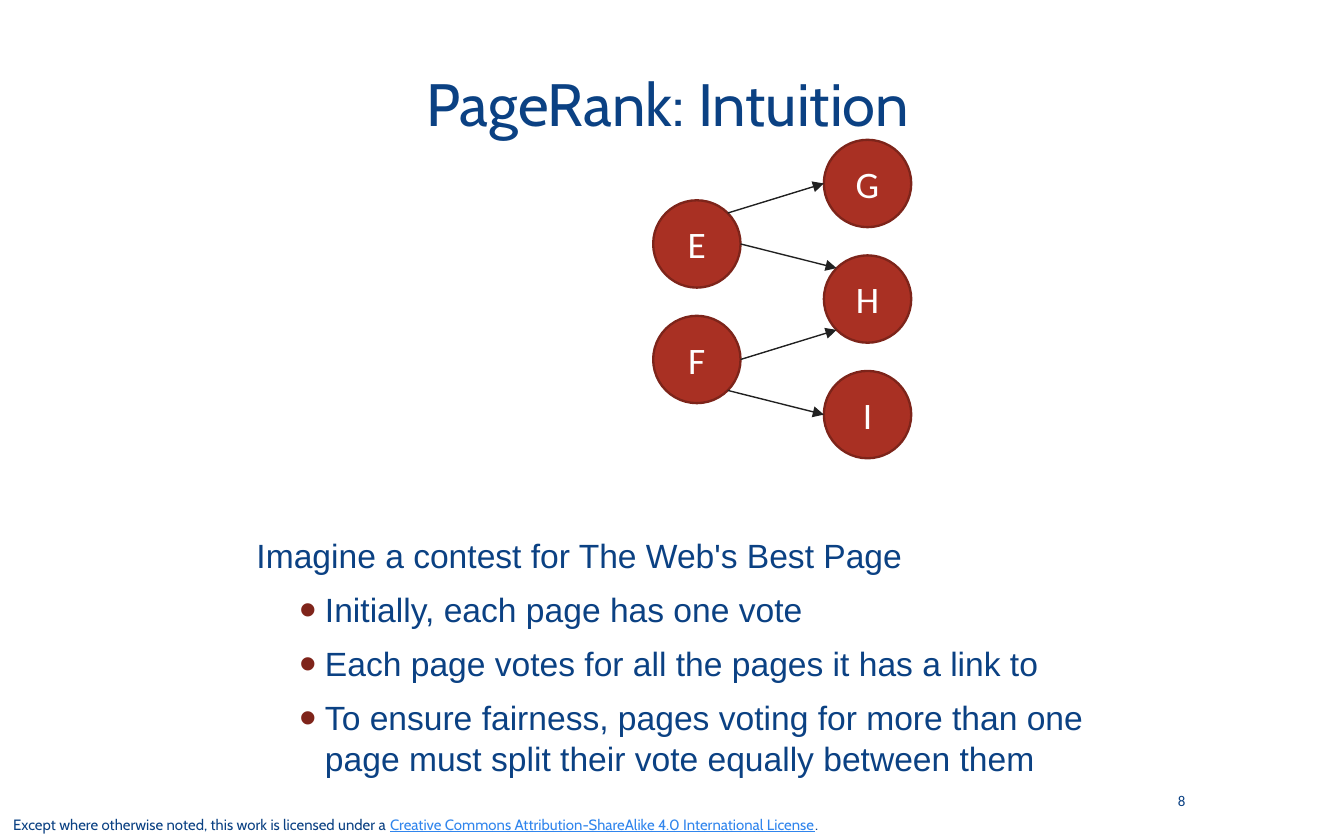
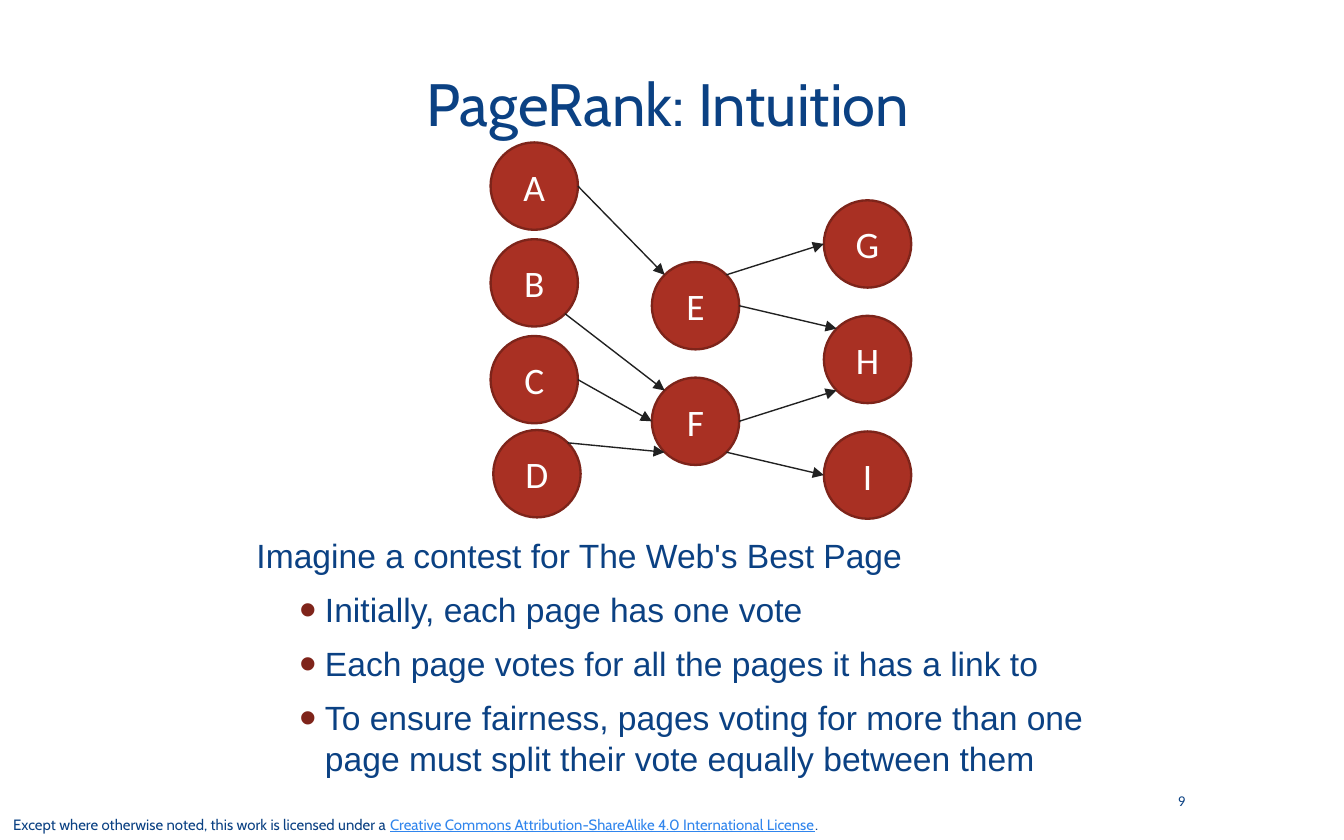
from dataclasses import dataclass
from math import cos, radians, sin

from lxml.etree import SubElement
from pptx import Presentation
from pptx.dml.color import RGBColor
from pptx.enum.shapes import MSO_CONNECTOR, MSO_SHAPE
from pptx.enum.text import MSO_ANCHOR, MSO_AUTO_SIZE, PP_ALIGN
from pptx.oxml.ns import qn
from pptx.util import Inches, Pt

HEX = {
    "navy": "0B4183",
    "link": "3085ED",
    "red": "A93023",
    "rim": "7D241A",
    "dot": "7F241A",
    "ink": "212121",
    "white": "FFFFFF",
}
SIZE = 0.65
TITLE = "PageRank: Intuition"
LEAD = "Imagine a contest for The Web's Best Page"
POINTS = (
    "Initially, each page has one vote",
    "Each page votes for all the pages it has a link to",
    "To ensure fairness, pages voting for more than one page "
    "must split their vote equally between them",
)


@dataclass(frozen=True)
class Style:
    size: float
    font: str
    tint: str = "navy"
    under: bool = False


@dataclass(frozen=True)
class Column:
    names: str
    left: float
    top: float
    step: float = 0.86


@dataclass(frozen=True)
class Vote:
    start: str
    out: int
    end: str
    into: int


@dataclass(frozen=True)
class Page:
    number: int
    columns: tuple[Column, ...]
    votes: tuple[Vote, ...]


HEAD = Style(32, "Cabin")
BODY = Style(18, "Arial")
NODE = Style(20, "Calibri", "white")
COUNT = Style(8, "Calibri")
NOTE = Style(8, "Cabin")
CITE = Style(8, "Cabin", "link", True)

LATE = (
    Vote("E", 45, "G", 180),
    Vote("E", 0, "H", 135),
    Vote("F", -45, "I", 180),
    Vote("F", 0, "H", 225),
)
EARLY = (
    Vote("C", 0, "F", 180),
    Vote("D", 45, "F", 225),
    Vote("A", 0, "E", 135),
    Vote("B", -45, "F", 135),
)
PAGES = (
    Page(8, (Column("GHI", 6.13, 1.04), Column("EF", 4.86, 1.49)), LATE),
    Page(
        9,
        (
            Column("GHI", 6.13, 1.49),
            Column("EF", 4.85, 1.95),
            Column("ABC", 3.65, 1.06, 0.72),
            Column("D", 3.67, 3.2),
        ),
        LATE + EARLY,
    ),
)


def color(name: str) -> RGBColor:
    return RGBColor.from_string(HEX[name])


def add_run(para, text: str, style: Style) -> None:
    run = para.add_run()
    run.text = text
    font = run.font
    font.size = Pt(style.size)
    font.name = style.font
    font.color.rgb = color(style.tint)
    font.underline = style.under


def add_box(slide, left: float, top: float, width: float, height: float, anchor):
    box = slide.shapes.add_textbox(
        Inches(left), Inches(top), Inches(width), Inches(height)
    )
    frame = box.text_frame
    frame.word_wrap = True
    frame.auto_size = MSO_AUTO_SIZE.NONE
    frame.vertical_anchor = anchor
    return frame


def add_title(slide) -> None:
    title = slide.shapes.title
    title.left, title.top = Inches(0.51), Inches(0.17)
    title.width, title.height = Inches(8.92), Inches(1.19)
    frame = title.text_frame
    frame.auto_size = MSO_AUTO_SIZE.NONE
    frame.vertical_anchor = MSO_ANCHOR.MIDDLE
    para = frame.paragraphs[0]
    para.alignment = PP_ALIGN.CENTER
    add_run(para, TITLE, HEAD)


def add_foot(slide, number: int) -> None:
    para = add_box(slide, 0, 6.02, 7.5, 0.23, MSO_ANCHOR.BOTTOM).paragraphs[0]
    add_run(para, "Except where otherwise noted, this work is licensed under a ", NOTE)
    add_run(
        para, "Creative Commons Attribution-ShareAlike 4.0 International License", CITE
    )
    add_run(para, ".", NOTE)
    para = add_box(slide, 7.98, 5.79, 0.94, 0.33, MSO_ANCHOR.MIDDLE).paragraphs[0]
    para.alignment = PP_ALIGN.RIGHT
    add_run(para, str(number), COUNT)


def add_dot(para) -> None:
    para.level = 1
    props = para._p.get_or_add_pPr()
    props.set("marL", str(Inches(0.51)))
    props.set("indent", str(Inches(-0.19)))
    tint = SubElement(props, qn("a:buClr"))
    SubElement(tint, qn("a:srgbClr"), val=HEX["dot"])
    SubElement(props, qn("a:buSzPct"), val="145000")
    SubElement(props, qn("a:buFont"), typeface="Arial")
    SubElement(props, qn("a:buChar"), char="•")


def add_body(slide) -> None:
    frame = add_box(slide, 1.81, 3.76, 6.38, 2.25, MSO_ANCHOR.MIDDLE)
    for rank, text in enumerate((LEAD, *POINTS)):
        para = frame.add_paragraph() if rank else frame.paragraphs[0]
        para.space_before = Pt(3.6)
        para.space_after = Pt(3.8)
        if rank:
            add_dot(para)
        add_run(para, text, BODY)


def add_node(slide, name: str, left: float, top: float) -> None:
    node = slide.shapes.add_shape(
        MSO_SHAPE.OVAL, Inches(left), Inches(top), Inches(SIZE), Inches(SIZE)
    )
    node.shadow.inherit = False
    node.fill.solid()
    node.fill.fore_color.rgb = color("red")
    node.line.color.rgb = color("rim")
    node.line.width = Pt(1.25)
    frame = node.text_frame
    frame.vertical_anchor = MSO_ANCHOR.MIDDLE
    para = frame.paragraphs[0]
    para.alignment = PP_ALIGN.CENTER
    add_run(para, name, NODE)


def rim_point(spot: tuple[float, float], angle: int) -> tuple[int, int]:
    half = SIZE / 2
    turn = radians(angle)
    left, top = spot
    return (
        Inches(left + half + half * cos(turn)),
        Inches(top + half - half * sin(turn)),
    )


def add_vote(slide, vote: Vote, spots: dict[str, tuple[float, float]]) -> None:
    start = rim_point(spots[vote.start], vote.out)
    end = rim_point(spots[vote.end], vote.into)
    arrow = slide.shapes.add_connector(MSO_CONNECTOR.STRAIGHT, *start, *end)
    arrow.line.color.rgb = color("ink")
    arrow.line.width = Pt(0.75)
    props = arrow.element.spPr
    SubElement(props.find(qn("a:ln")), qn("a:tailEnd"), type="triangle")
    SubElement(props, qn("a:effectLst"))


def add_graph(slide, page: Page) -> None:
    spots = {
        name: (col.left, col.top + row * col.step)
        for col in page.columns
        for row, name in enumerate(col.names)
    }
    for name, spot in spots.items():
        add_node(slide, name, *spot)
    for vote in page.votes:
        add_vote(slide, vote, spots)


def main() -> None:
    deck = Presentation()
    deck.slide_width, deck.slide_height = Inches(10), Inches(6.25)
    for page in PAGES:
        slide = deck.slides.add_slide(deck.slide_layouts.get_by_name("Title Only"))
        add_title(slide)
        add_foot(slide, page.number)
        add_body(slide)
        add_graph(slide, page)
    deck.save("out.pptx")


if __name__ == "__main__":
    main()
